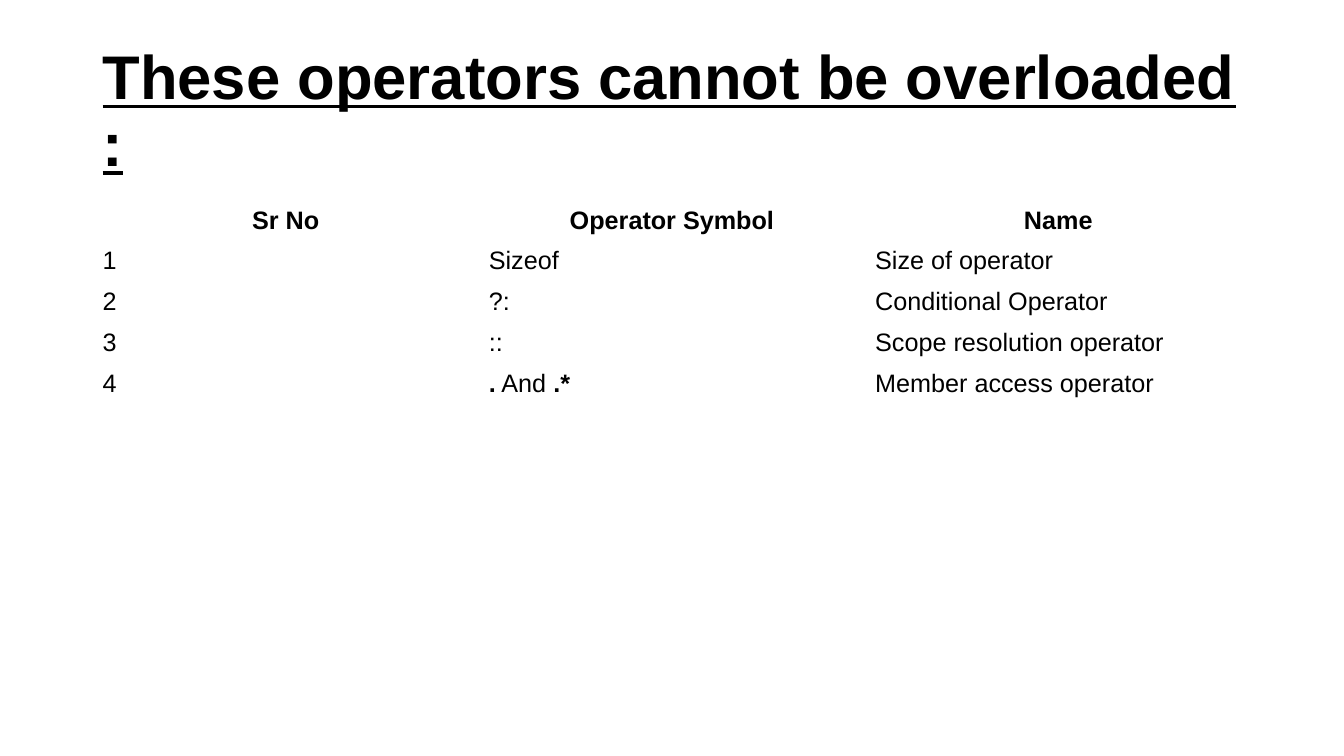
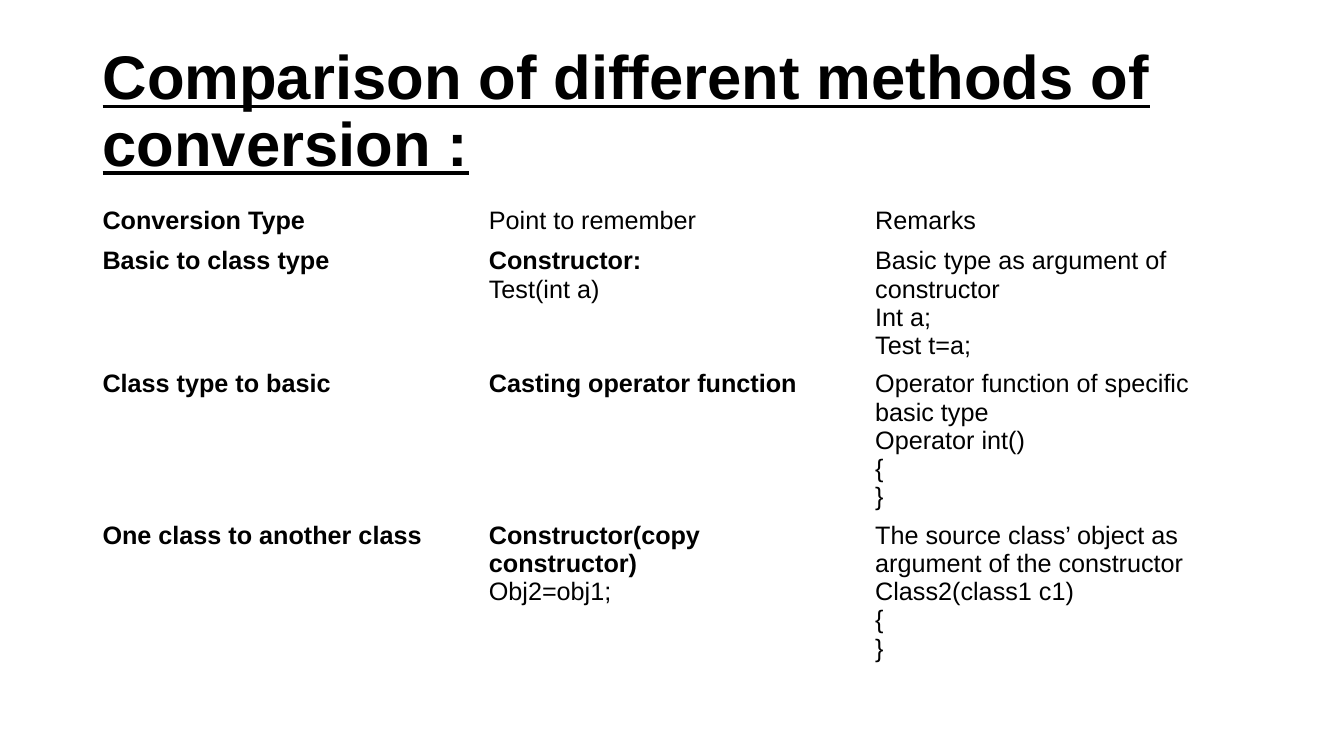
from pptx import Presentation
from pptx.dml.color import RGBColor
from pptx.enum.text import MSO_ANCHOR, MSO_AUTO_SIZE, PP_ALIGN
from pptx.util import Cm, Pt

LEFT, CENTER = PP_ALIGN.LEFT, PP_ALIGN.CENTER
MIDDLE = MSO_ANCHOR.MIDDLE
NO_AUTOFIT = MSO_AUTO_SIZE.NONE
BLACK = RGBColor(0x00, 0x00, 0x00)
WHITE = RGBColor(0xFF, 0xFF, 0xFF)
FONT = "Arial"
BOLD_MARK = "`"
TITLE_ONLY = 5


def write(frame, text, size=18, align=LEFT, bold=False, underline=False, spacing=1.0):
    """Write one paragraph per line; text between bold marks switches weight."""
    for index, line in enumerate(text.split("\n")):
        paragraph = frame.add_paragraph() if index else frame.paragraphs[0]
        paragraph.alignment = align
        paragraph.line_spacing = spacing
        for part, words in enumerate(line.split(BOLD_MARK)):
            if not words:
                continue
            run = paragraph.add_run()
            run.text = words
            run.font.name = FONT
            run.font.size = Pt(size)
            run.font.color.rgb = BLACK
            run.font.bold = bold or part % 2 == 1
            run.font.underline = underline


class Deck:
    """Holds the shared style and the current slide."""

    left, width = Cm(2.33), Cm(29.21)
    title_top, title_height = Cm(1.01), Cm(3.68)
    table_top, row_height = Cm(5.07), Cm(1.03)

    def __init__(self):
        """Start a widescreen presentation."""
        self.presentation = Presentation()
        self.presentation.slide_width = Cm(33.87)
        self.presentation.slide_height = Cm(19.05)
        self.slide = None

    def add_slide(self, heading):
        """Add a white slide with the underlined heading."""
        layout = self.presentation.slide_layouts[TITLE_ONLY]
        self.slide = self.presentation.slides.add_slide(layout)
        self.slide.background.fill.solid()
        self.slide.background.fill.fore_color.rgb = WHITE
        title = self.slide.shapes.title
        title.left, title.top = self.left, self.title_top
        title.width, title.height = self.width, self.title_height
        frame = title.text_frame
        frame.word_wrap = True
        frame.auto_size = NO_AUTOFIT
        frame.vertical_anchor = MIDDLE
        write(frame, heading, size=44, bold=True, underline=True, spacing=0.9)

    def add_table(self, rows, header_align=LEFT):
        """Add a plain table with equal columns."""
        table = self.slide.shapes.add_table(
            len(rows), len(rows[0]), self.left, self.table_top,
            self.width, self.row_height * len(rows)).table
        table.first_row = table.horz_banding = False
        for row_index, row in enumerate(rows):
            for column, text in enumerate(row):
                cell = table.cell(row_index, column)
                cell.fill.background()
                write(cell.text_frame, text,
                      align=LEFT if row_index else header_align)

    def save(self):
        """Save the finished presentation."""
        self.presentation.save("out.pptx")


FIXED_OPERATORS = [
    ("`Sr No`", "`Operator Symbol`", "`Name`"),
    ("1", "Sizeof", "Size of operator"),
    ("2", "?:", "Conditional Operator"),
    ("3", "::", "Scope resolution operator"),
    ("4", "`.` And `.*`", "Member access operator"),
]

CONVERSIONS = [
    ("`Conversion Type`", "Point to remember", "Remarks"),
    ("`Basic to class type`", "`Constructor:`\nTest(int a)",
     "Basic type as argument of constructor\nInt a;\nTest t=a;"),
    ("`Class type to basic`", "`Casting operator function`",
     "Operator function of specific basic type\nOperator int()\n{\n}"),
    ("`One class to another class`", "`Constructor(copy constructor)`\nObj2=obj1;",
     "The source class’ object as argument of the constructor\n"
     "Class2(class1 c1)\n{\n}"),
]

deck = Deck()
deck.add_slide("These operators cannot be overloaded :")
deck.add_table(FIXED_OPERATORS, header_align=CENTER)
deck.add_slide("Comparison of different methods of conversion :")
deck.add_table(CONVERSIONS)
deck.save()
